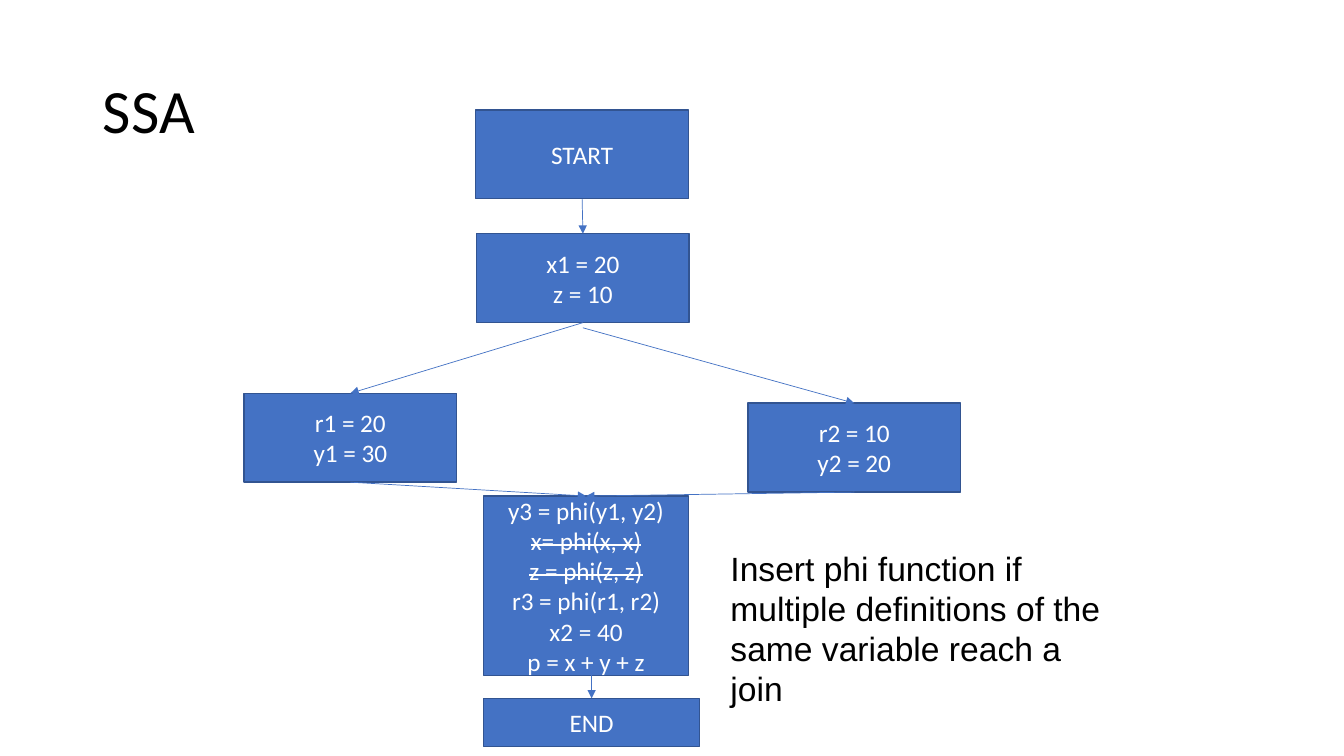
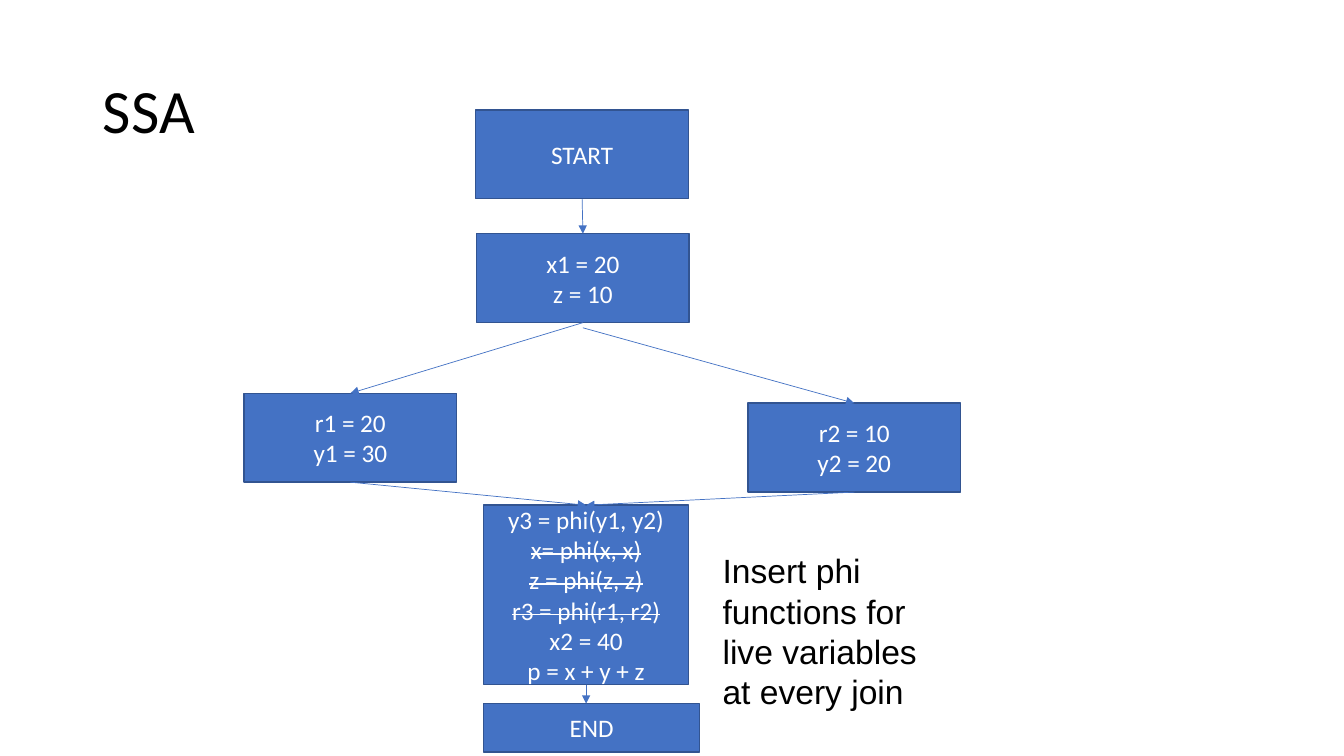
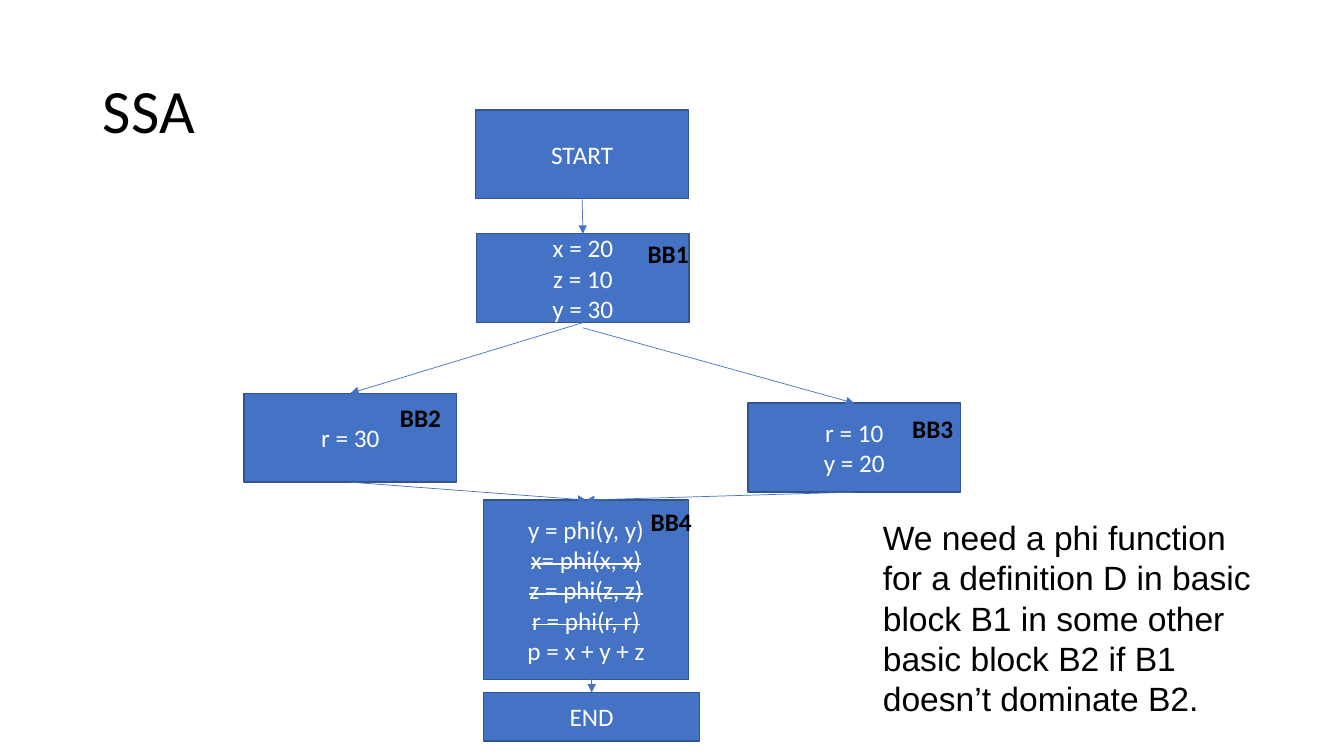
from dataclasses import dataclass, field

import lxml.etree
import pptx
import pptx.dml.color
import pptx.enum.shapes
import pptx.enum.text
import pptx.oxml.ns
import pptx.util

Cm = pptx.util.Cm
Align = pptx.enum.text.PP_ALIGN
Anchor = pptx.enum.text.MSO_ANCHOR


@dataclass(frozen=True)
class Theme:
    block: str = "4472C4"
    outline: str = "325491"
    ink: str = "000000"
    paper: str = "FFFFFF"
    font: str = "Calibri"
    note_font: str = "Arial"
    title_size: int = 44
    note_size: int = 24
    code_size: int = 18
    outline_width: float = 1
    arrow_width: float = 0.5


THEME = Theme()

# Shared geometry in centimetres; block places are relative to the graph
TITLE_BOX = (2.34, 1.02, 29.21, 3.68)
GRAPH_ORIGIN = (6.15, 2.77)
BLOCK_SIZE = (5.36, 2.24)
JOIN_SIZE = (5.16, 4.52)
END_SIZE = (5.44, 1.22)
LABEL_SIZE = (2.74, 1.02)
BRANCH_GAP = 0.13


@dataclass
class SsaSlide:
    entry: list
    left: list
    right: list
    join: list
    struck: set
    join_top: float
    end_top: float
    note: str
    note_box: tuple
    exit_under_join: bool = False
    labels: dict = field(default_factory=dict)


SLIDES = [
    SsaSlide(
        entry=["x1 = 20", "z = 10"],
        left=["r1 = 20", "y1 = 30"],
        right=["r2 = 10", "y2 = 20"],
        join=["y3 = phi(y1, y2)", "x= phi(x, x)", "z = phi(z, z)",
              "r3 = phi(r1, r2)", "x2 = 40", "p = x + y + z"],
        struck={1, 2}, join_top=9.73, end_top=14.83,
        note="Insert phi function if multiple definitions of the same "
             "variable reach a join",
        note_box=(18.16, 13.67, 10.06, 4.37)),
    SsaSlide(
        entry=["x1 = 20", "z = 10"],
        left=["r1 = 20", "y1 = 30"],
        right=["r2 = 10", "y2 = 20"],
        join=["y3 = phi(y1, y2)", "x= phi(x, x)", "z = phi(z, z)",
              "r3 = phi(r1, r2)", "x2 = 40", "p = x + y + z"],
        struck={1, 2, 3}, join_top=9.96, end_top=14.96,
        note="Insert phi functions for live variables at every join",
        note_box=(17.96, 13.74, 6.32, 4.37), exit_under_join=True),
    SsaSlide(
        entry=["x = 20", "z = 10", "y = 30"],
        left=["r = 30"],
        right=["r = 10", "y = 20"],
        join=["y = phi(y, y)", "x= phi(x, x)", "z = phi(z, z)",
              "r = phi(r, r)", "p = x + y + z"],
        struck={1, 2, 3}, join_top=9.83, end_top=14.68,
        note="We need a phi function for a definition D in basic block B1 in "
             "some other basic block B2 if B1 doesn’t dominate B2.",
        note_box=(22, 12.9, 10.06, 5.38),
        # Offset of each label from its block's corner
        labels={"entry": ("BB1", 4.06, 0), "left": ("BB2", 3.68, 0.1),
                "right": ("BB3", 3.89, 0.13), "join": ("BB4", 3.96, 0.03)}),
]


def rgb(value):
    return pptx.dml.color.RGBColor.from_string(value)


def style_text(frame, size, color, font=THEME.font, bold=False, align=Align.LEFT):
    frame.word_wrap = True
    for paragraph in frame.paragraphs:
        paragraph.alignment = align
        for run in paragraph.runs:
            run.font.size = pptx.util.Pt(size)
            run.font.name = font
            run.font.bold = bold
            run.font.color.rgb = rgb(color)


def add_title(slide, text):
    title = slide.shapes.title
    title.left, title.top, title.width, title.height = map(Cm, TITLE_BOX)
    title.text_frame.text = text
    title.text_frame.vertical_anchor = Anchor.MIDDLE
    title.text_frame.paragraphs[0].line_spacing = 0.9
    style_text(title.text_frame, THEME.title_size, THEME.ink)


def add_text(slide, text, left, top, width, height, size, font=THEME.font, bold=False):
    box = slide.shapes.add_textbox(left, top, width, height)
    box.text_frame.text = text
    style_text(box.text_frame, size, THEME.ink, font, bold)
    box.text_frame.auto_size = pptx.enum.text.MSO_AUTO_SIZE.SHAPE_TO_FIT_TEXT


def add_block(slide, origin, place, size, lines, struck=()):
    block = slide.shapes.add_shape(
        pptx.enum.shapes.MSO_SHAPE.RECTANGLE,
        Cm(origin[0] + place[0]), Cm(origin[1] + place[1]), *map(Cm, size))
    block.shadow.inherit = False
    block.fill.solid()
    block.fill.fore_color.rgb = rgb(THEME.block)
    block.line.color.rgb = rgb(THEME.outline)
    block.line.width = pptx.util.Pt(THEME.outline_width)
    frame = block.text_frame
    frame.text = "\n".join(lines)
    frame.vertical_anchor = Anchor.MIDDLE
    style_text(frame, THEME.code_size, THEME.paper, align=Align.CENTER)
    for row in struck:
        frame.paragraphs[row].runs[0]._r.get_or_add_rPr().set("strike", "sngStrike")
    return block


def top_middle(block):
    return block.left + block.width // 2, block.top


def bottom_middle(block):
    return block.left + block.width // 2, block.top + block.height


def add_arrow(slide, start, end, source=None, target=None):
    """Arrow between two points, joined to source's bottom and target's top."""
    arrow = slide.shapes.add_connector(
        pptx.enum.shapes.MSO_CONNECTOR.STRAIGHT, *start, *end)
    if source is not None:
        arrow.begin_connect(source, 2)
    if target is not None:
        arrow.end_connect(target, 0)
    arrow.line.color.rgb = rgb(THEME.block)
    arrow.line.width = pptx.util.Pt(THEME.arrow_width)
    qn = pptx.oxml.ns.qn
    lxml.etree.SubElement(arrow.line._get_or_add_ln(), qn("a:tailEnd"), type="triangle")
    lxml.etree.SubElement(arrow._element.spPr, qn("a:effectLst"))


def add_flow_graph(slide, content, origin):
    # Basic blocks
    entry = add_block(slide, origin, (5.86, 3.12), BLOCK_SIZE, content.entry)
    left = add_block(slide, origin, (0, 7.14), BLOCK_SIZE, content.left)
    right = add_block(slide, origin, (12.7, 7.39), BLOCK_SIZE, content.right)
    join = add_block(slide, origin, (6.04, content.join_top), JOIN_SIZE,
                     content.join, content.struck)
    end = add_block(slide, origin, (6.04, content.end_top), END_SIZE, ["END"])
    start = add_block(slide, origin, (5.84, 0), BLOCK_SIZE, ["START"])

    # Joined edges
    for source, target in [(entry, left), (right, join), (left, join), (start, entry)]:
        add_arrow(slide, bottom_middle(source), top_middle(target), source, target)

    # The right branch begins a little below the entry block
    branch_x, branch_y = bottom_middle(entry)
    add_arrow(slide, (branch_x, branch_y + Cm(BRANCH_GAP)), top_middle(right),
              target=right)

    # The exit edge drops straight, in line with one of its two blocks
    exit_x = top_middle(join if content.exit_under_join else end)[0]
    add_arrow(slide, (exit_x, bottom_middle(join)[1]), (exit_x, end.top),
              source=join if content.exit_under_join else None,
              target=None if content.exit_under_join else end)

    # Block labels
    blocks = {"entry": entry, "left": left, "right": right, "join": join}
    for role, (label, dx, dy) in content.labels.items():
        add_text(slide, label, blocks[role].left + Cm(dx), blocks[role].top + Cm(dy),
                 *map(Cm, LABEL_SIZE), THEME.code_size, bold=True)


def add_ssa_slide(deck, content):
    slide = deck.slides.add_slide(deck.slide_layouts.get_by_name("Title Only"))
    add_title(slide, "SSA")
    add_flow_graph(slide, content, GRAPH_ORIGIN)
    add_text(slide, content.note, *map(Cm, content.note_box),
             THEME.note_size, THEME.note_font)


def main():
    deck = pptx.Presentation()
    deck.slide_width, deck.slide_height = Cm(33.87), Cm(19.05)
    for content in SLIDES:
        add_ssa_slide(deck, content)
    deck.save("out.pptx")


if __name__ == "__main__":
    main()
